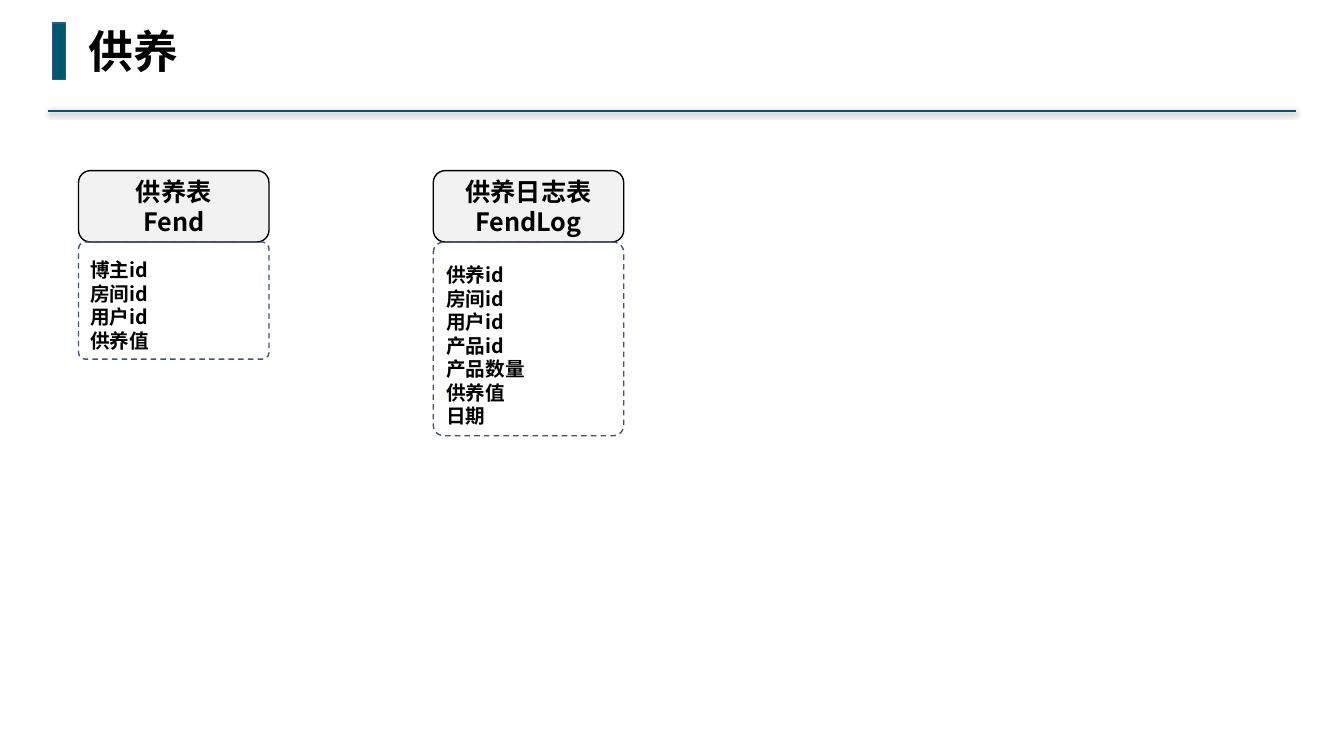
from dataclasses import dataclass

from lxml import etree
from pptx import Presentation
from pptx.dml.color import RGBColor
from pptx.enum.dml import MSO_LINE
from pptx.enum.shapes import MSO_CONNECTOR, MSO_SHAPE
from pptx.enum.text import MSO_ANCHOR, MSO_AUTO_SIZE, PP_ALIGN
from pptx.oxml import parse_xml
from pptx.oxml.ns import nsdecls, qn
from pptx.util import Cm, Pt

RECTANGLE = MSO_SHAPE.RECTANGLE
ROUNDED = MSO_SHAPE.ROUNDED_RECTANGLE
STRAIGHT = MSO_CONNECTOR.STRAIGHT
DASH = MSO_LINE.DASH
TOP, MIDDLE, BOTTOM = MSO_ANCHOR.TOP, MSO_ANCHOR.MIDDLE, MSO_ANCHOR.BOTTOM
LEFT, CENTER = PP_ALIGN.LEFT, PP_ALIGN.CENTER
NO_AUTOFIT = MSO_AUTO_SIZE.NONE
TITLE_ONLY = 5


@dataclass(frozen=True)
class Theme:
    accent: str = "00576E"
    accent_border: str = "325491"
    header_fill: str = "F2F2F2"
    field_border: str = "44546A"
    ink: str = "000000"
    title_font: str = "Noto Sans Mono"
    body_font: str = "Noto Sans CJK SC"
    title_size: int = 32
    header_size: int = 18
    field_size: int = 14


def write_text(shape, lines, *, font, size, color, align=LEFT, anchor=TOP,
               wrap=True, inset=None):
    frame = shape.text_frame
    frame.auto_size = NO_AUTOFIT
    frame.word_wrap = wrap
    frame.vertical_anchor = anchor
    if inset is not None:
        frame.margin_left = frame.margin_right = Cm(inset)
        frame.margin_top = frame.margin_bottom = Cm(inset)
    frame.text = "\n".join(lines)
    for paragraph in frame.paragraphs:
        paragraph.alignment = align
        paragraph.line_spacing = 1.0
        paragraph.space_before = Pt(0)
        for run in paragraph.runs:
            run.font.name = font
            run.font.size = Pt(size)
            run.font.bold = True
            run.font.color.rgb = RGBColor.from_string(color)
            east_asian = etree.SubElement(run.font._element, qn("a:ea"))
            east_asian.set("typeface", font)


class SlideBuilder:
    def __init__(self, slide, theme):
        self.slide = slide
        self.theme = theme

    def title(self, text, left, top, width, height):
        shape = self.slide.shapes.title
        shape.left, shape.top = Cm(left), Cm(top)
        shape.width, shape.height = Cm(width), Cm(height)
        write_text(shape, [text], font=self.theme.title_font,
                   size=self.theme.title_size, color=self.theme.ink, wrap=False)

    def box(self, kind, left, top, width, height, *, border, fill=None,
            dash=None, corner=None):
        shape = self.slide.shapes.add_shape(
            kind, Cm(left), Cm(top), Cm(width), Cm(height))
        shape.shadow.inherit = False
        if fill:
            shape.fill.solid()
            shape.fill.fore_color.rgb = RGBColor.from_string(fill)
        else:
            shape.fill.background()
        shape.line.color.rgb = RGBColor.from_string(border)
        shape.line.width = Pt(1)
        if dash:
            shape.line.dash_style = dash
        if corner is not None:
            shape.adjustments[0] = corner
        return shape

    def shadowed_rule(self, left, right, y):
        rule = self.slide.shapes.add_connector(
            STRAIGHT, Cm(left), Cm(y), Cm(right), Cm(y))
        rule.line.color.rgb = RGBColor.from_string(self.theme.accent)
        rule.line.width = Pt(1.5)
        rule._element.spPr.append(parse_xml(
            f'<a:effectLst {nsdecls("a")}>'
            f'<a:outerShdw blurRad="{Pt(4)}" dist="{Pt(1)}" dir="5400000" '
            f'rotWithShape="0"><a:srgbClr val="{self.theme.ink}">'
            '<a:alpha val="40000"/></a:srgbClr></a:outerShdw></a:effectLst>'))

    def entity(self, left, names, fields, fields_height):
        theme = self.theme
        top, width, header_height = 4.3, 4.8, 1.8
        header = self.box(ROUNDED, left, top, width, header_height,
                          border=theme.ink, fill=theme.header_fill)
        write_text(header, names, font=theme.body_font, size=theme.header_size,
                   color=theme.ink, align=CENTER, anchor=MIDDLE, wrap=False,
                   inset=0.1)
        body = self.box(ROUNDED, left, top + header_height, width, fields_height,
                        border=theme.field_border, dash=DASH, corner=0.055)
        write_text(body, fields, font=theme.body_font, size=theme.field_size,
                   color=theme.ink, anchor=BOTTOM)


presentation = Presentation()
presentation.slide_width, presentation.slide_height = Cm(33.87), Cm(19.05)
theme = Theme()
slide = presentation.slides.add_slide(presentation.slide_layouts[TITLE_ONLY])
builder = SlideBuilder(slide, theme)

builder.shadowed_rule(1.2, 32.67, 2.8)
builder.box(RECTANGLE, 1.32, 0.58, 0.34, 1.42,
            border=theme.accent_border, fill=theme.accent)
builder.title("供养", 1.98, 0.48, 2.8, 1.63)

entities = [
    (1.98, ["供养表", "Fend"],
     ["博主id", "房间id", "用户id", "供养值"], 2.95),
    (10.92, ["供养日志表", "FendLog"],
     ["供养id", "房间id", "用户id", "产品id", "产品数量", "供养值", "日期"], 4.88),
]
for entity in entities:
    builder.entity(*entity)

presentation.save("out.pptx")
